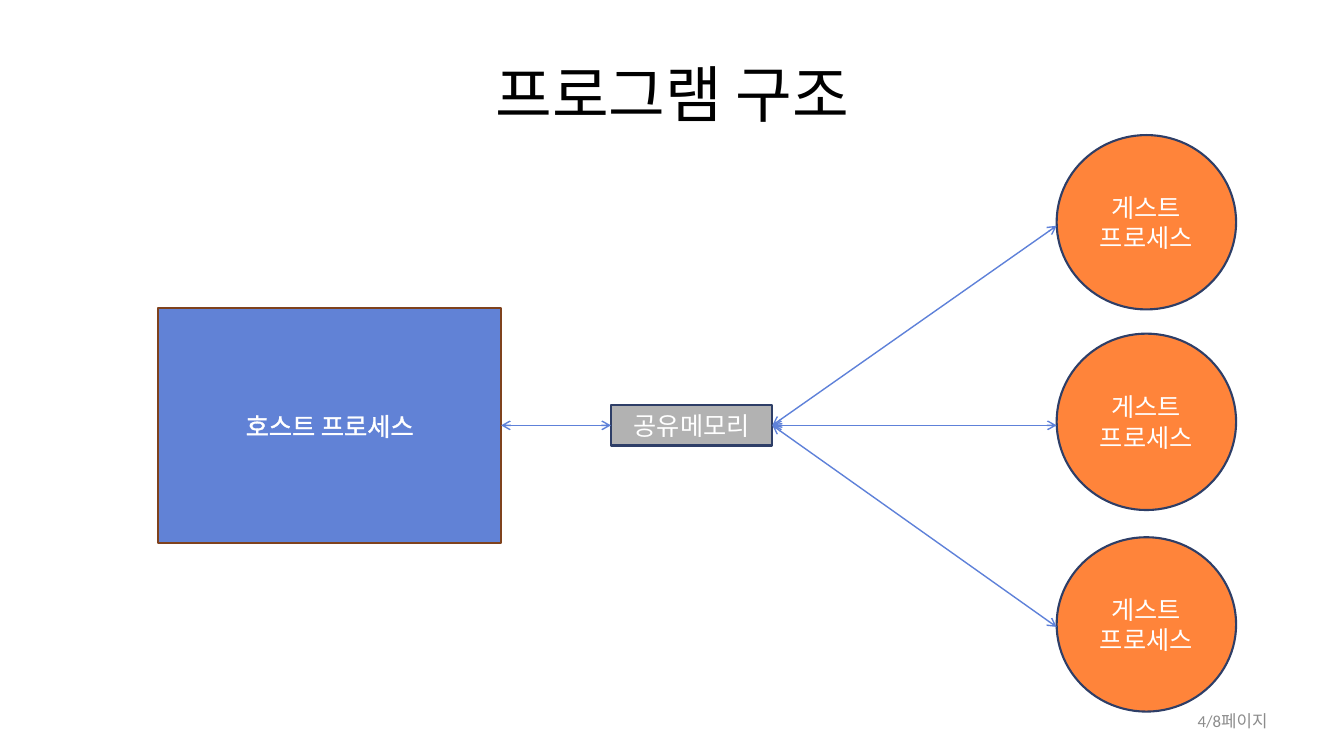
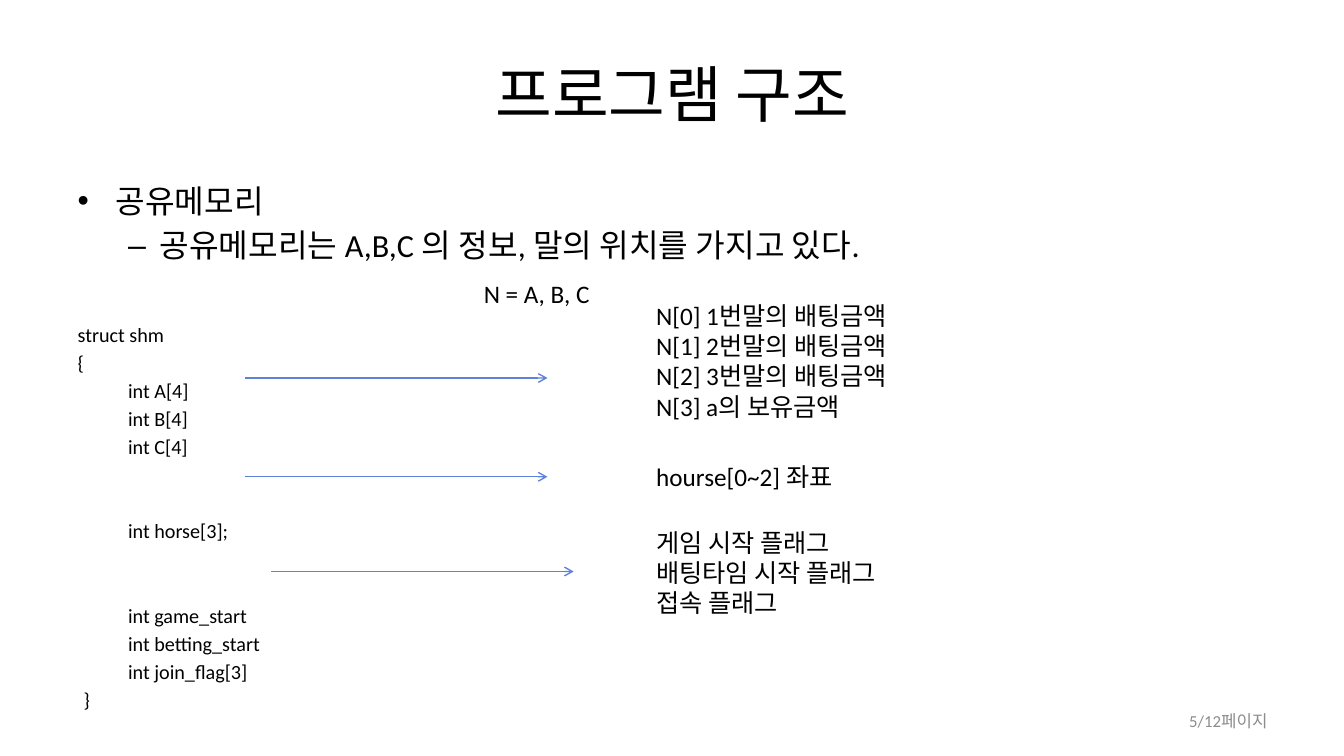
import pptx
import pptx.util
import pptx.dml.color
import pptx.enum.shapes
import pptx.enum.text
import pptx.oxml
import pptx.oxml.ns
import lxml.etree

Inches, Pt = pptx.util.Inches, pptx.util.Pt
RGB = pptx.dml.color.RGBColor.from_string
SHAPES = pptx.enum.shapes.MSO_SHAPE
ALIGN = pptx.enum.text.PP_ALIGN
ANCHOR = pptx.enum.text.MSO_ANCHOR
qn = pptx.oxml.ns.qn

FONT = "Calibri"
COLORS = {
    "text": "000000", "white": "FFFFFF", "page": "8C8C8C",
    "arrow": "5E81D9", "navy": "2E3E67", "brown": "7F421D",
    "host": "6182D6", "memory": "B2B2B2", "guest": "FF843A",
}


def write(shape, text, size, color, align=ALIGN.LEFT, anchor=ANCHOR.TOP):
    """Fill a shape with text, one paragraph per line, in one style."""
    frame = shape.text_frame
    frame.text = text
    frame.word_wrap = True
    frame.vertical_anchor = anchor
    for paragraph in frame.paragraphs:
        paragraph.alignment = align
        paragraph.font.name = FONT
        paragraph.font.size = Pt(size)
        paragraph.font.color.rgb = RGB(COLORS[color])


def add_arrow(slide, start, end, both_ends=False):
    """Draw a straight arrow between two points given in inches."""
    arrow = slide.shapes.add_connector(
        pptx.enum.shapes.MSO_CONNECTOR.STRAIGHT,
        *(Inches(length) for length in start + end))
    arrow.line.color.rgb = RGB(COLORS["arrow"])
    arrow.line.width = Pt(1)
    outline = arrow.line._get_or_add_ln()
    for tag in ["a:headEnd", "a:tailEnd"] if both_ends else ["a:tailEnd"]:
        lxml.etree.SubElement(outline, qn(tag), type="arrow")
    lxml.etree.SubElement(arrow._element.spPr, qn("a:effectLst"))


deck = pptx.Presentation()
deck.slide_width, deck.slide_height = Inches(13.33), Inches(7.5)

# Shared title and page number
diagram = deck.slides.add_slide(deck.slide_layouts[5])
memory_layout = deck.slides.add_slide(deck.slide_layouts[1])
for slide, page in [(diagram, "4/8페이지"), (memory_layout, "5/12페이지")]:
    title = slide.shapes.title
    title.left, title.top = Inches(0.67), Inches(0.3)
    title.width, title.height = Inches(12), Inches(1.25)
    write(title, "프로그램 구조", 44, "text", ALIGN.CENTER, ANCHOR.MIDDLE)
    page_number = slide.shapes.add_textbox(
        Inches(9.56), Inches(6.95), Inches(3.11), Inches(0.4))
    write(page_number, page, 12, "page", ALIGN.RIGHT, ANCHOR.MIDDLE)

# Slide 1: host, shared memory and guests
guest = "게스트\n프로세스"
processes = [
    ("호스트 프로세스", SHAPES.RECTANGLE, (1.57, 3.06, 3.4, 2.33), "host", "brown"),
    ("공유메모리", SHAPES.RECTANGLE, (6.06, 4.02, 1.6, 0.4), "memory", "navy"),
    (guest, SHAPES.OVAL, (10.48, 1.34, 1.78, 1.73), "guest", "navy"),
    (guest, SHAPES.OVAL, (10.48, 3.31, 1.78, 1.75), "guest", "navy"),
    (guest, SHAPES.OVAL, (10.48, 5.33, 1.78, 1.73), "guest", "navy"),
]
for label, outline, box, fill, border in processes:
    process = diagram.shapes.add_shape(outline, *(Inches(length) for length in box))
    process.shadow.inherit = False
    process.fill.solid()
    process.fill.fore_color.rgb = RGB(COLORS[fill])
    process.line.color.rgb = RGB(COLORS[border])
    process.line.width = Pt(1.5)
    write(process, label, 18, "white", ALIGN.CENTER, ANCHOR.MIDDLE)
    if fill == "host":
        # The host label has outlined letters
        letters = process.text_frame.paragraphs[0].runs[0]._r.get_or_add_rPr()
        letters.insert(0, pptx.oxml.parse_xml(
            f'<a:ln {pptx.oxml.ns.nsdecls("a")} w="9525"><a:solidFill>'
            f'<a:srgbClr val="{COLORS["white"]}"/></a:solidFill></a:ln>'))

add_arrow(diagram, (6.06, 4.22), (4.97, 4.22), both_ends=True)
for guest_y in (2.24, 4.22, 6.22):
    add_arrow(diagram, (7.66, 4.22), (10.48, guest_y), both_ends=True)

# Slide 2: bullets and the struct; each line is (text, level, size, gap, indent)
LINE_GAP, BLOCK_GAP = 2.7, 43.1
struct_lines = [
    ("공유메모리", 0, 23, 4, None),
    ("공유메모리는 A,B,C 의 정보, 말의 위치를 가지고 있다.", 1, 23, 4, None),
    ("struct shm", 0, 14.4, 41.5, 0),
    ("{", 0, 14.4, LINE_GAP, 0),
    ("int A[4]", 1, 14.4, LINE_GAP, 0.5),
    ("int B[4]", 1, 14.4, LINE_GAP, 0.5),
    ("int C[4]", 1, 14.4, LINE_GAP, 0.5),
    ("int horse[3];", 1, 14.4, BLOCK_GAP, 0.5),
    ("int game_start", 1, 14.4, BLOCK_GAP, 0.5),
    ("int betting_start", 1, 14.4, LINE_GAP, 0.5),
    ("int join_flag[3]", 1, 14.4, LINE_GAP, 0.5),
    ("}", 0, 14.4, LINE_GAP, 0.06),
]
struct = memory_layout.placeholders[1]
struct.left, struct.top = Inches(0.67), Inches(1.75)
struct.width, struct.height = Inches(12), Inches(4.95)
write(struct, "\n".join(line[0] for line in struct_lines), 14.4, "text")
struct.text_frame.auto_size = pptx.enum.text.MSO_AUTO_SIZE.NONE
for paragraph, (_, level, size, gap, indent) in zip(
        struct.text_frame.paragraphs, struct_lines):
    paragraph.level = level
    paragraph.font.size = Pt(size)
    paragraph.space_before = Pt(gap)
    if indent is not None:
        properties = paragraph._p.get_or_add_pPr()
        properties.set("marL", str(Inches(indent)))
        properties.set("indent", "0")
        bullet = properties.makeelement(qn("a:buNone"))
        properties.find(qn("a:defRPr")).addprevious(bullet)

explanations = [
    ("N = A, B, C", (4.7, 2.71, 1.48, 0.4)),
    ("N[0] 1번말의 배팅금액\nN[1] 2번말의 배팅금액\n"
     "N[2] 3번말의 배팅금액\nN[3] a의 보유금액", (6.41, 2.93, 3.33, 1.29)),
    ("hourse[0~2] 좌표", (6.41, 4.53, 2.62, 0.4)),
    ("게임 시작 플래그\n배팅타임 시작 플래그\n접속 플래그", (6.41, 5.18, 3.76, 0.99)),
]
for text, box in explanations:
    explanation = memory_layout.shapes.add_textbox(*(Inches(length) for length in box))
    write(explanation, text, 18, "text")

for x, y in [(2.43, 3.75), (2.43, 4.73), (2.69, 5.67)]:
    add_arrow(memory_layout, (x, y), (x + 3, y))

deck.save("out.pptx")
